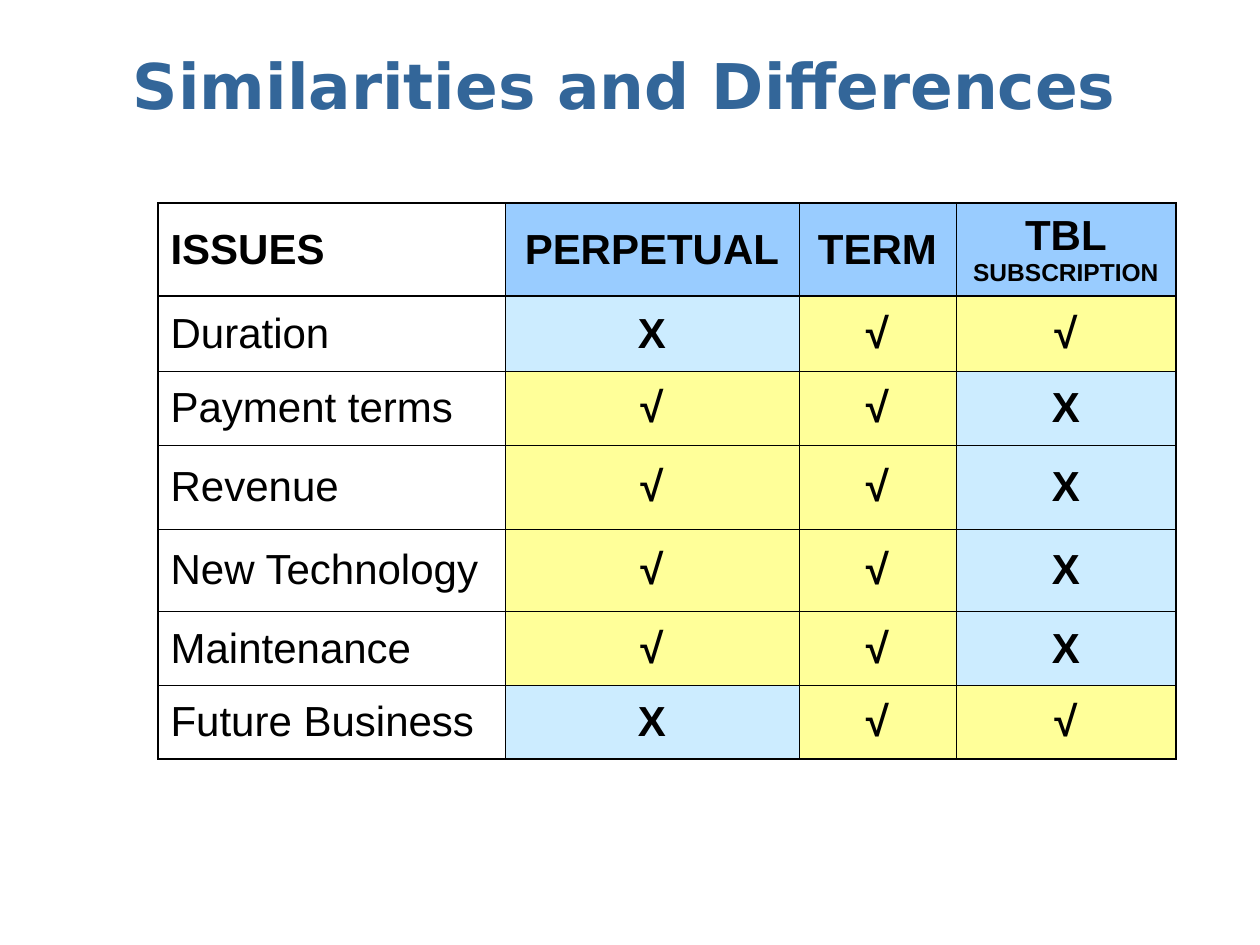
"""Build a slide with a table comparing three kinds of licence."""
from dataclasses import dataclass

from lxml import etree
from pptx import Presentation
from pptx.dml.color import RGBColor
from pptx.enum.text import MSO_ANCHOR, MSO_AUTO_SIZE, PP_ALIGN
from pptx.oxml.ns import qn
from pptx.util import Emu, Pt

MIDDLE = MSO_ANCHOR.MIDDLE
NO_FIT = MSO_AUTO_SIZE.NONE
LEFT = PP_ALIGN.LEFT
CENTER = PP_ALIGN.CENTER

PX_PER_INCH = 126
BLACK = "000000"
BLUE = "336699"
HEAD = "99CCFF"
FILLS = {"X": "CCECFF", "√": "FFFF99"}
THIN, THICK = 0.45, 1.08
WIDTHS = (347, 294, 157, 220)


@dataclass(frozen=True)
class Issue:
    name: str
    marks: str
    height: int


ISSUES = (
    Issue("Duration", "X√√", 75),
    Issue("Payment terms", "√√X", 74),
    Issue("Revenue", "√√X", 84),
    Issue("New Technology", "√√X", 83),
    Issue("Maintenance", "√√X", 74),
    Issue("Future Business", "X√√", 73),
)
HEADERS = ("ISSUES", "PERPETUAL", "TERM", "TBL\nSUBSCRIPTION")
HEAD_HEIGHT = 93


def px(count: int) -> Emu:
    """Turn pixels into EMU."""
    return Emu(round(count * 914400 / PX_PER_INCH))


def color(code: str) -> RGBColor:
    """Turn a hex string into a colour."""
    return RGBColor.from_string(code)


def style(para, face: str, size: int, code: str, bold: bool, align) -> None:
    """Set the font and alignment of a paragraph."""
    para.alignment = align
    para.font.name = face
    para.font.size = Pt(size)
    para.font.bold = bold
    para.font.color.rgb = color(code)


def add_border(cell, side: str, width: float) -> None:
    """Draw one black edge of a cell."""
    props = cell._tc.get_or_add_tcPr()
    line = etree.SubElement(props, qn(f"a:ln{side}"), w=str(Pt(width)))
    fill = etree.SubElement(line, qn("a:solidFill"))
    etree.SubElement(fill, qn("a:srgbClr"), val=BLACK)


def fill_cell(table, row: int, col: int, text: str) -> None:
    """Write, frame and colour one table cell."""
    cell = table.cell(row, col)
    cell.text = text
    cell.vertical_anchor = MIDDLE
    bold = row == 0 or col > 0
    for index, para in enumerate(cell.text_frame.paragraphs):
        size = 14 if index else 24
        style(para, "Arial", size, BLACK, bold, CENTER if col else LEFT)
    edges = {
        "L": col == 0,
        "R": col == len(WIDTHS) - 1,
        "T": row < 2,
        "B": row in (0, len(ISSUES)),
    }
    for side, heavy in edges.items():
        add_border(cell, side, THICK if heavy else THIN)
    if col:
        cell.fill.solid()
        cell.fill.fore_color.rgb = color(FILLS.get(text, HEAD))
    else:
        cell.fill.background()


def add_title(slide, text: str) -> None:
    """Place and format the slide title."""
    title = slide.shapes.title
    title.left, title.top = px(32), px(26)
    title.width, title.height = px(1207), px(116)
    frame = title.text_frame
    frame.text = text
    frame.auto_size = NO_FIT
    frame.vertical_anchor = MIDDLE
    style(frame.paragraphs[0], "DejaVu Sans", 36, BLUE, True, CENTER)


def add_issues(slide) -> None:
    """Add the table of issues by licence."""
    heights = (HEAD_HEIGHT, *(issue.height for issue in ISSUES))
    frame = slide.shapes.add_table(
        len(heights), len(WIDTHS), px(158), px(203),
        px(sum(WIDTHS)), px(sum(heights)),
    )
    table = frame.table
    table.first_row = table.horz_banding = False
    for column, width in zip(table.columns, WIDTHS):
        column.width = px(width)
    for line, height in zip(table.rows, heights):
        line.height = px(height)
    texts = (HEADERS, *((issue.name, *issue.marks) for issue in ISSUES))
    for row, cells in enumerate(texts):
        for col, text in enumerate(cells):
            fill_cell(table, row, col, text)


def main() -> None:
    """Build and save the slide."""
    deck = Presentation()
    deck.slide_width, deck.slide_height = px(1260), px(945)
    slide = deck.slides.add_slide(deck.slide_layouts[5])
    add_title(slide, "Similarities and Differences ")
    add_issues(slide)
    deck.save("out.pptx")


if __name__ == "__main__":
    main()
